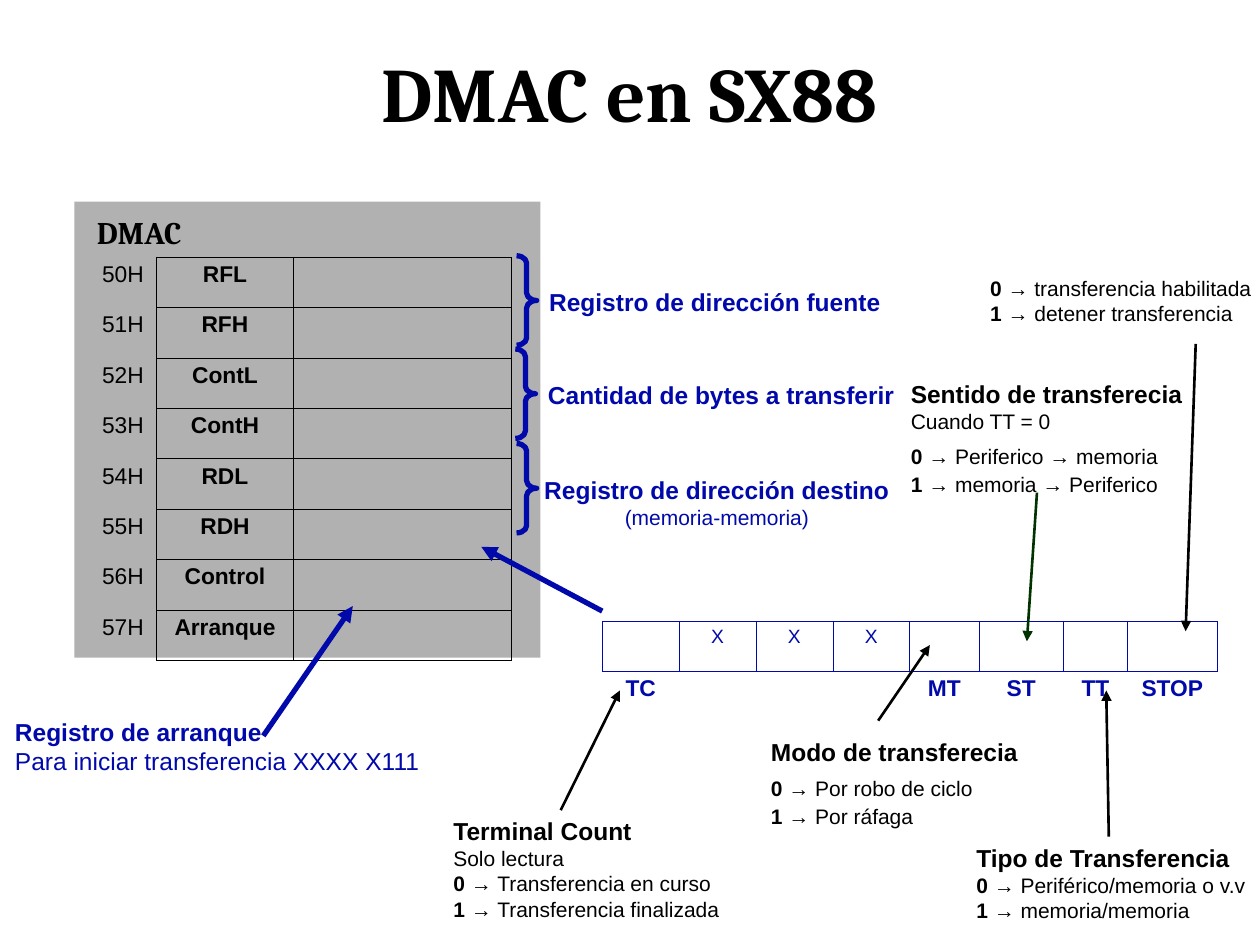
from dataclasses import dataclass

from lxml.etree import SubElement
from pptx import Presentation
from pptx.dml.color import RGBColor
from pptx.enum.shapes import MSO_CONNECTOR, MSO_SHAPE
from pptx.enum.text import MSO_ANCHOR, PP_ALIGN
from pptx.oxml.ns import qn
from pptx.util import Inches, Pt


@dataclass(frozen=True)
class Theme:
    black: str = "000000"
    blue: str = "0109AB"
    green: str = "003300"
    gray: str = "808080"
    title: int = 44
    panel: int = 18
    heading: int = 14
    cell: int = 13
    body: int = 12
    mark: int = 11
    serif: str = "Cambria"
    sans: str = "Arial"


theme = Theme()


def write_text(frame, lines, color=theme.black, font=theme.sans,
               align=PP_ALIGN.LEFT, spacing=None):
    """Write lines of (bold text, regular text, size[, points before])."""
    frame.word_wrap = True
    for index, (bold, regular, size, *before) in enumerate(lines):
        paragraph = frame.paragraphs[0] if index == 0 else frame.add_paragraph()
        paragraph.alignment = align
        if spacing:
            paragraph.line_spacing = spacing
        if before:
            paragraph.space_before = Pt(before[0])
        for text, is_bold in ((bold, True), (regular, False)):
            if text:
                run = paragraph.add_run()
                run.text = text
                run.font.name = font
                run.font.size = Pt(size)
                run.font.bold = is_bold
                run.font.color.rgb = RGBColor.from_string(color)


def add_grid(left, top, widths, rows, row_height, border_color, has_border, color, style):
    """Add a table; style(row, column) gives size, boldness and alignment."""
    frame = slide.shapes.add_table(len(rows), len(widths), Inches(left), Inches(top),
                                   Inches(sum(widths)), Inches(row_height * len(rows)))
    table = frame.table
    table.first_row = table.horz_banding = False
    no_grid_style = "{2D5ABB26-0587-4C30-8999-92F81FD0307C}"
    table._tbl.tblPr.find(qn("a:tableStyleId")).text = no_grid_style
    for column, width in zip(table.columns, widths):
        column.width = Inches(width)
    for row_index, texts in enumerate(rows):
        table.rows[row_index].height = Inches(row_height)
        for column_index, text in enumerate(texts):
            cell = table.cell(row_index, column_index)
            cell.margin_bottom = Inches(0.02)
            if text:
                size, bold, align = style(row_index, column_index)
                line = (text, "", size) if bold else ("", text, size)
                write_text(cell.text_frame, [line], color, align=align, spacing=0.94)
            if has_border(row_index, column_index):
                properties = cell._tc.get_or_add_tcPr()
                for side in ("a:lnL", "a:lnR", "a:lnT", "a:lnB"):
                    border = SubElement(properties, qn(side), w=str(Pt(0.25)))
                    fill = SubElement(border, qn("a:solidFill"))
                    SubElement(fill, qn("a:srgbClr"), val=border_color)
            cell.fill.background()


presentation = Presentation()
presentation.slide_width = Inches(10)
presentation.slide_height = Inches(7.5)
slide = presentation.slides.add_slide(presentation.slide_layouts[6])

# Title and DMAC panel
title = slide.shapes.add_textbox(Inches(0.5), Inches(0.3), Inches(9), Inches(0.85))
title.text_frame.vertical_anchor = MSO_ANCHOR.MIDDLE
write_text(title.text_frame, [("DMAC en SX88", "", theme.title)],
           font=theme.serif, align=PP_ALIGN.CENTER)

panel = slide.shapes.add_shape(MSO_SHAPE.RECTANGLE, Inches(0.59), Inches(1.6),
                               Inches(3.7), Inches(3.62))
panel.shadow.inherit = False
panel.line.fill.background()
panel.fill.solid()
panel.fill.fore_color.rgb = RGBColor.from_string(theme.gray)
panel_color = panel._element.spPr.find(qn("a:solidFill")).find(qn("a:srgbClr"))
SubElement(panel_color, qn("a:alpha"), val="61000")

panel_title = slide.shapes.add_textbox(Inches(0.67), Inches(1.64), Inches(3.46), Inches(0.4))
write_text(panel_title.text_frame, [("DMAC", "", theme.panel)], font=theme.serif)

# Registers and control bits
registers = ["RFL", "RFH", "ContL", "ContH", "RDL", "RDH", "Control", "Arranque"]
add_grid(0.59, 2.04, [0.65, 1.09, 1.73],
         [[f"{50 + index}H", name, ""] for index, name in enumerate(registers)],
         0.4, theme.black, lambda row, column: column > 0, theme.black,
         lambda row, column: (theme.cell, column == 1,
                              PP_ALIGN.CENTER if column else PP_ALIGN.RIGHT))
add_grid(4.78, 4.93, [0.61] * 4 + [0.55, 0.67, 0.51, 0.71],
         [["", "X", "X", "X", "", "", "", ""],
          ["TC", "", "", "", "MT", "ST", "TT", "STOP"]],
         0.4, theme.blue, lambda row, column: row == 0, theme.blue,
         lambda row, column: (theme.cell if row else theme.mark, row == 1,
                              PP_ALIGN.CENTER))

# Explanations: left, top, width, height, colour, alignment, lines
heading, body = theme.heading, theme.body
left_align, center = PP_ALIGN.LEFT, PP_ALIGN.CENTER
notes = [
    (7.76, 2.14, 2.32, 0.5, theme.black, left_align,
     [("0 ", "→ transferencia habilitada", body), ("1 ", "→ detener transferencia", body)]),
    (7.65, 6.64, 2.38, 0.74, theme.black, left_align,
     [("Tipo de Transferencia", "", heading),
      ("0 ", "→ Periférico/memoria o v.v", body), ("1 ", "→ memoria/memoria", body)]),
    (7.13, 2.96, 2.42, 1.04, theme.black, left_align,
     [("Sentido de transferecia", "", heading), ("", "Cuando TT = 0", body),
      ("0 ", "→ Periferico → memoria", body, 5.5),
      ("1 ", "→ memoria → Periferico", body, 1.5)]),
    (6.02, 5.8, 2.2, 0.84, theme.black, left_align,
     [("Modo de transferecia", "", heading),
      ("0 ", "→ Por robo de ciclo", body, 5.5), ("1 ", "→ Por ráfaga", body, 1.5)]),
    (3.5, 6.43, 2.36, 0.94, theme.black, left_align,
     [("Terminal Count", "", heading), ("", "Solo lectura", body),
      ("0 ", "→ Transferencia en curso", body), ("1 ", "→ Transferencia finalizada", body)]),
    (4.26, 2.23, 2.87, 0.34, theme.blue, left_align,
     [("Registro de dirección fuente", "", heading)]),
    (4.25, 2.97, 2.99, 0.34, theme.blue, left_align,
     [("Cantidad de bytes a transferir", "", heading)]),
    (4.2, 3.72, 2.98, 0.54, theme.blue, center,
     [("Registro de dirección destino", "", heading), ("", "(memoria-memoria)", body)]),
    (0.02, 5.64, 3.49, 0.57, theme.blue, left_align,
     [("Registro de arranque", "", heading),
      ("", "Para iniciar transferencia XXXX X111", heading)]),
]
for left, top, width, height, color, align, lines in notes:
    box = slide.shapes.add_textbox(Inches(left), Inches(top), Inches(width), Inches(height))
    write_text(box.text_frame, lines, color, align=align)

# Arrows: start, end, colour, line width
arrows = [
    ((4.78, 4.85), (3.82, 4.34), theme.blue, 3),
    ((9.49, 2.73), (9.41, 5.01), theme.black, 1.5),
    ((8.8, 6.64), (8.78, 5.48), theme.black, 1.5),
    ((8.23, 3.91), (8.15, 5.09), theme.green, 1.5),
    ((6.97, 5.72), (7.38, 5.12), theme.black, 1.5),
    ((4.45, 6.43), (4.92, 5.48), theme.black, 1.5),
    ((2.09, 5.84), (2.8, 4.81), theme.blue, 3),
]
for start, end, color, width in arrows:
    arrow = slide.shapes.add_connector(MSO_CONNECTOR.STRAIGHT,
                                       *(Inches(value) for value in start + end))
    arrow.line.color.rgb = RGBColor.from_string(color)
    arrow.line.width = Pt(width)
    properties = arrow._element.spPr
    SubElement(properties.find(qn("a:ln")), qn("a:tailEnd"), type="triangle")
    SubElement(properties, qn("a:effectLst"))

# Braces joining register pairs
for left, top in ((4.1, 3.52), (4.09, 2.77), (4.1, 2.03)):
    brace = slide.shapes.add_shape(MSO_SHAPE.RIGHT_BRACE, Inches(left), Inches(top),
                                   Inches(0.16), Inches(0.71))
    brace.adjustments[0] = 0.37
    brace.shadow.inherit = False
    brace.fill.background()
    brace.line.color.rgb = RGBColor.from_string(theme.blue)
    brace.line.width = Pt(3)

presentation.save("out.pptx")
